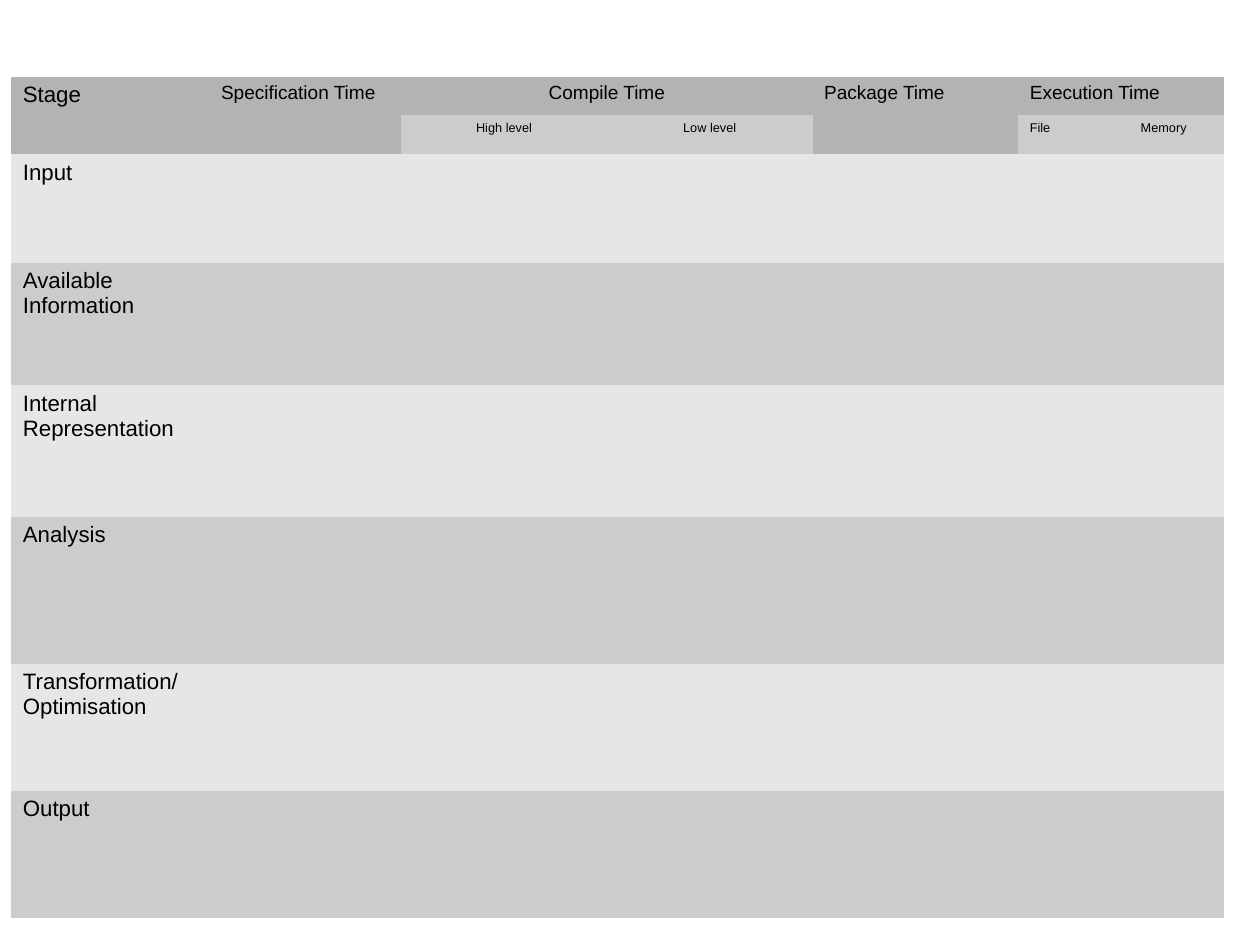
from pptx import Presentation
from pptx.dml.color import RGBColor
from pptx.enum.text import PP_ALIGN
from pptx.oxml.ns import qn
from pptx.util import Inches, Pt

LEFT, MID = PP_ALIGN.LEFT, PP_ALIGN.CENTER
DARK, GREY, PALE, BLACK = "B3B3B3", "CCCCCC", "E6E6E6", "000000"
PLAIN = "{2D5ABB26-0587-4C30-8999-92F81FD0307C}"  # no style, no grid

# The page is 28 by 21 centimetres
WIDE, HIGH = Inches(28 / 2.54), Inches(21 / 2.54)
COLS = [1.61, 1.8, 1.8, 1.8, 1.8, 0.97, 0.83]
ROWS = [0.34, 0.34, 0.95, 1.07, 1.15, 1.29, 1.11, 1.11]

# Column, rows spanned, columns spanned, text, size, alignment
HEADS = [
    (0, 2, 1, "Stage", 14, LEFT),
    (1, 2, 1, "Specification Time", 12, MID),
    (2, 1, 2, "Compile Time", 12, MID),
    (4, 2, 1, "Package Time", 12, LEFT),
    (5, 1, 2, "Execution Time", 12, LEFT),
]
SUBS = [(2, "High level", MID), (3, "Low level", MID),
        (5, "File", LEFT), (6, "Memory", LEFT)]
STAGES = ["Input", "Available Information", "Internal Representation",
          "Analysis", "Transformation/\nOptimisation", "Output"]


def color(code):
    return RGBColor.from_string(code)


def paint(cell, code):
    cell.fill.solid()
    cell.fill.fore_color.rgb = color(code)


def write(cell, text, size, align=LEFT):
    cell.text_frame.text = text
    form = {"name": "Arial", "size": Pt(size), "bold": False}
    for para in cell.text_frame.paragraphs:
        para.alignment = align
        for run in para.runs:
            for key, value in form.items():
                setattr(run.font, key, value)
            run.font.color.rgb = color(BLACK)


def add_grid(slide, left, top, width, height):
    frame = slide.shapes.add_table(
        len(ROWS), len(COLS), *map(Inches, (left, top, width, height)))
    grid = frame.table
    grid.first_row = grid.horz_banding = False
    grid._tbl.tblPr.find(qn("a:tableStyleId")).text = PLAIN
    for col, size in zip(grid.columns, COLS):
        col.width = Inches(size)
    for row, size in zip(grid.rows, ROWS):
        row.height = Inches(size)
    return grid


def fill_head(grid):
    for col, down, across, text, size, align in HEADS:
        cell = grid.cell(0, col)
        cell.merge(grid.cell(down - 1, col + across - 1))
        paint(cell, DARK)
        write(cell, text, size, align)
    for col, text, align in SUBS:
        cell = grid.cell(1, col)
        paint(cell, GREY)
        write(cell, text, 8, align)


def fill_body(grid):
    for row, stage in enumerate(STAGES, 2):
        for col in range(len(COLS)):
            paint(grid.cell(row, col), GREY if row % 2 else PALE)
        write(grid.cell(row, 0), stage, 14)


def main():
    deck = Presentation()
    deck.slide_width, deck.slide_height = WIDE, HIGH
    slide = deck.slides.add_slide(deck.slide_layouts[6])
    grid = add_grid(slide, 0.1, 0.67, sum(COLS), sum(ROWS))
    fill_head(grid)
    fill_body(grid)
    deck.save("out.pptx")


if __name__ == "__main__":
    main()
